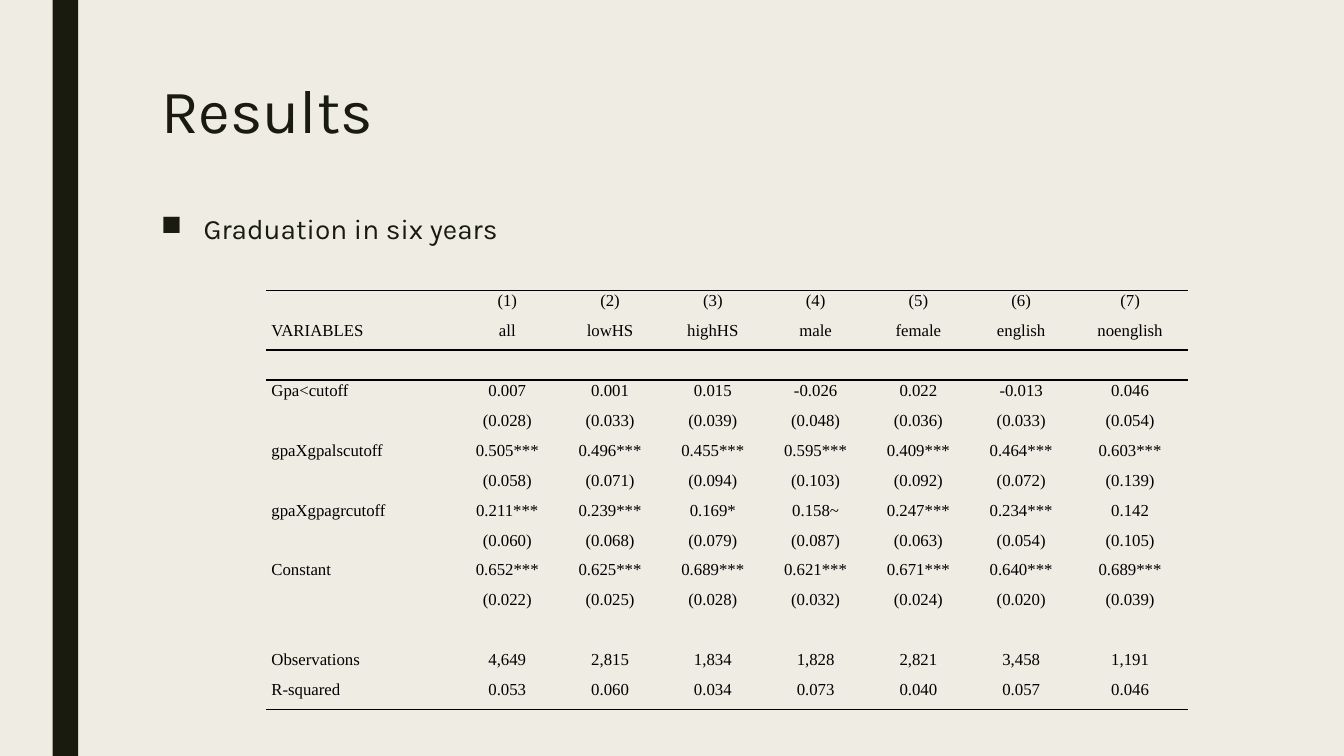
from lxml.etree import SubElement
from pptx import Presentation
from pptx.dml.color import RGBColor
from pptx.enum.shapes import MSO_SHAPE
from pptx.enum.text import PP_ALIGN
from pptx.oxml.ns import qn
from pptx.util import Cm, Pt

INK = RGBColor(0x19, 0x1B, 0x0E)
PAPER = RGBColor(0xEF, 0xED, 0xE3)
BLACK = RGBColor(0, 0, 0)
HEAD_FONT, TABLE_FONT = "Karla", "Times New Roman"
NO_GRID_STYLE = "{2D5ABB26-0587-4C30-8999-92F81FD0307C}"

TITLE = "Results"
BULLET = "Graduation in six years"
# One line per table row, cells split at "|"; an empty line is a spacer row.
ROWS = """|(1)|(2)|(3)|(4)|(5)|(6)|(7)
VARIABLES|all|lowHS|highHS|male|female|english|noenglish

Gpa<cutoff|0.007|0.001|0.015|-0.026|0.022|-0.013|0.046
|(0.028)|(0.033)|(0.039)|(0.048)|(0.036)|(0.033)|(0.054)
gpaXgpalscutoff|0.505***|0.496***|0.455***|0.595***|0.409***|0.464***|0.603***
|(0.058)|(0.071)|(0.094)|(0.103)|(0.092)|(0.072)|(0.139)
gpaXgpagrcutoff|0.211***|0.239***|0.169*|0.158~|0.247***|0.234***|0.142
|(0.060)|(0.068)|(0.079)|(0.087)|(0.063)|(0.054)|(0.105)
Constant|0.652***|0.625***|0.689***|0.621***|0.671***|0.640***|0.689***
|(0.022)|(0.025)|(0.028)|(0.032)|(0.024)|(0.020)|(0.039)

Observations|4,649|2,815|1,834|1,828|2,821|3,458|1,191
R-squared|0.053|0.060|0.034|0.073|0.040|0.057|0.046""".split("\n")
COL_WIDTHS = [4.78] + [2.59] * 6 + [2.9]
TABLE_HEIGHT = 10.58
RULES = {0: ["lnT"], 1: ["lnB"], 2: ["lnT"], len(ROWS) - 1: ["lnB"]}


def style(p, font, size, color, spacing):
    """Set the font and line spacing of a paragraph."""
    p.font.name, p.font.size = font, Pt(size)
    p.font.color.rgb = color
    p.line_spacing = spacing


def add_text(slide, text, top, height, size, spacing):
    """Add a heading-font text box at the content margin; return its paragraph."""
    tf = slide.shapes.add_textbox(Cm(3.81), Cm(top), Cm(26.67), Cm(height)).text_frame
    tf.word_wrap = True
    p = tf.paragraphs[0]
    p.text = text
    style(p, HEAD_FONT, size, INK, spacing)
    return p


def add_bullet(p):
    """Give a paragraph a square bullet with a hanging indent."""
    pPr = p._p.get_or_add_pPr()
    pPr.set("marL", str(Cm(1.07)))
    pPr.set("indent", str(Cm(-1.07)))
    bullet = pPr.makeelement(qn("a:buChar"), {"char": "\u25a0"})
    default_font = pPr.find(qn("a:defRPr"))
    default_font.addprevious(bullet)


def add_rule(cell, side):
    """Draw a 1 pt black border on one side of a cell."""
    tcPr = cell._tc.get_or_add_tcPr()
    line = tcPr.makeelement(qn("a:" + side), {"w": str(Pt(1))})
    fill = SubElement(line, qn("a:solidFill"))
    SubElement(fill, qn("a:srgbClr"), val=str(BLACK))
    tcPr.insert(0, line)


def fill_cell(cell, text, align):
    """Write one table cell."""
    cell.margin_left = cell.margin_right = Cm(0.13)
    cell.margin_top = cell.margin_bottom = 0
    cell.fill.background()
    p = cell.text_frame.paragraphs[0]
    p.text = text
    p.alignment = align
    style(p, TABLE_FONT, 12, BLACK, 1.07)


def add_results(slide):
    """Add the regression table."""
    frame = slide.shapes.add_table(len(ROWS), len(COL_WIDTHS), Cm(6.71), Cm(7.31),
                                   Cm(sum(COL_WIDTHS)), Cm(TABLE_HEIGHT))
    table = frame.table
    table.first_row = table.horz_banding = False
    table._tbl.tblPr.find(qn("a:tableStyleId")).text = NO_GRID_STYLE
    for col, width in zip(table.columns, COL_WIDTHS):
        col.width = Cm(width)
    for r, line in enumerate(ROWS):
        texts = line.split("|") if line else [""] * len(COL_WIDTHS)
        for c, text in enumerate(texts):
            cell = table.cell(r, c)
            fill_cell(cell, text, PP_ALIGN.CENTER if c else PP_ALIGN.LEFT)
            for side in RULES.get(r, []):
                add_rule(cell, side)


prs = Presentation()
prs.slide_width, prs.slide_height = Cm(33.87), Cm(19.05)
slide = prs.slides.add_slide(prs.slide_layouts[6])
slide.background.fill.solid()
slide.background.fill.fore_color.rgb = PAPER

bar = slide.shapes.add_shape(MSO_SHAPE.RECTANGLE, Cm(1.33), 0, Cm(0.64), prs.slide_height)
bar.shadow.inherit = False
bar.fill.solid()
bar.fill.fore_color.rgb = INK
bar.line.fill.background()

add_text(slide, TITLE, 1.91, 4.11, 44, 0.89)
p = add_text(slide, BULLET, 5.28, 9.96, 20, 0.94)
p.space_before, p.space_after = Pt(10), Pt(2)
add_bullet(p)
add_results(slide)
prs.save("out.pptx")
